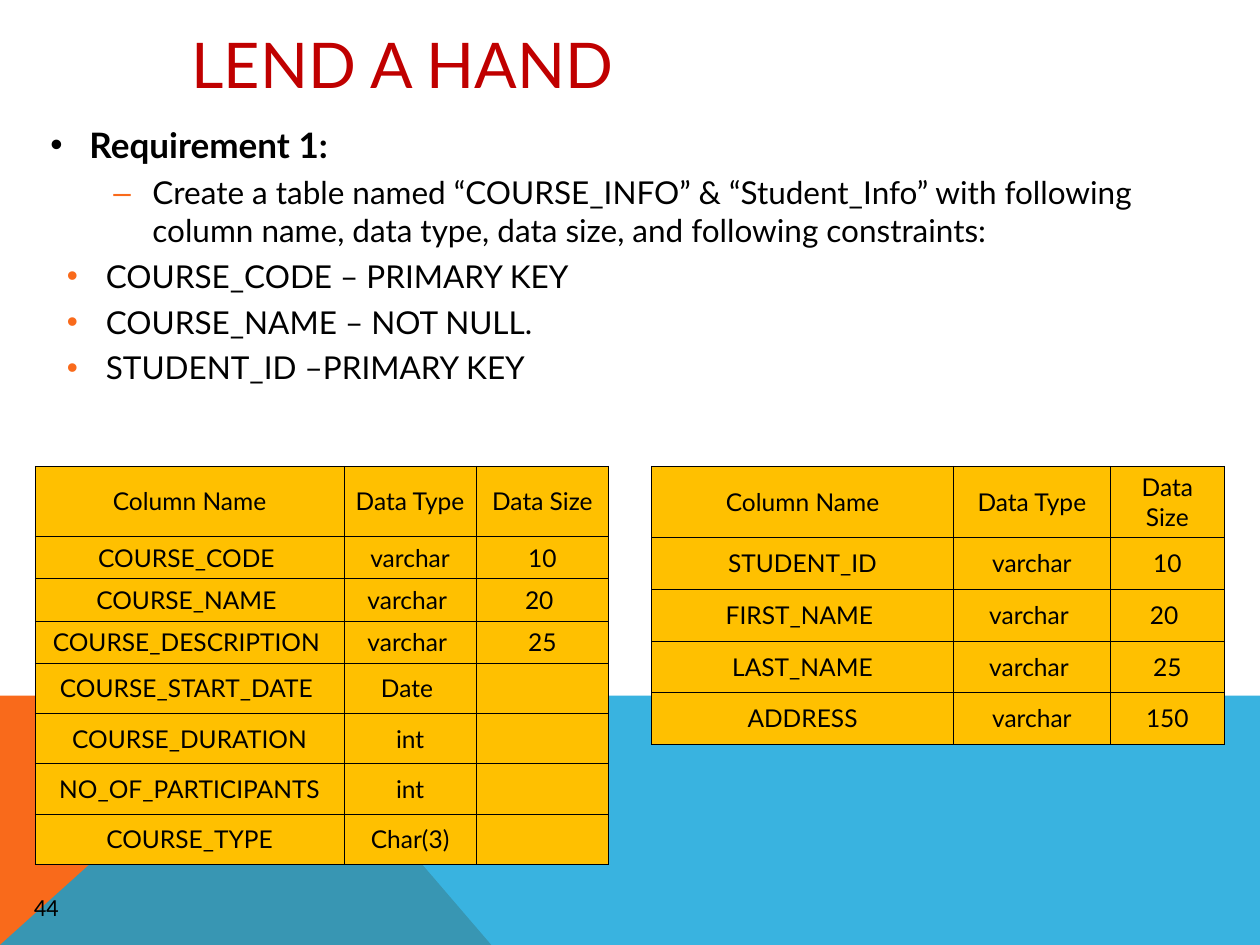
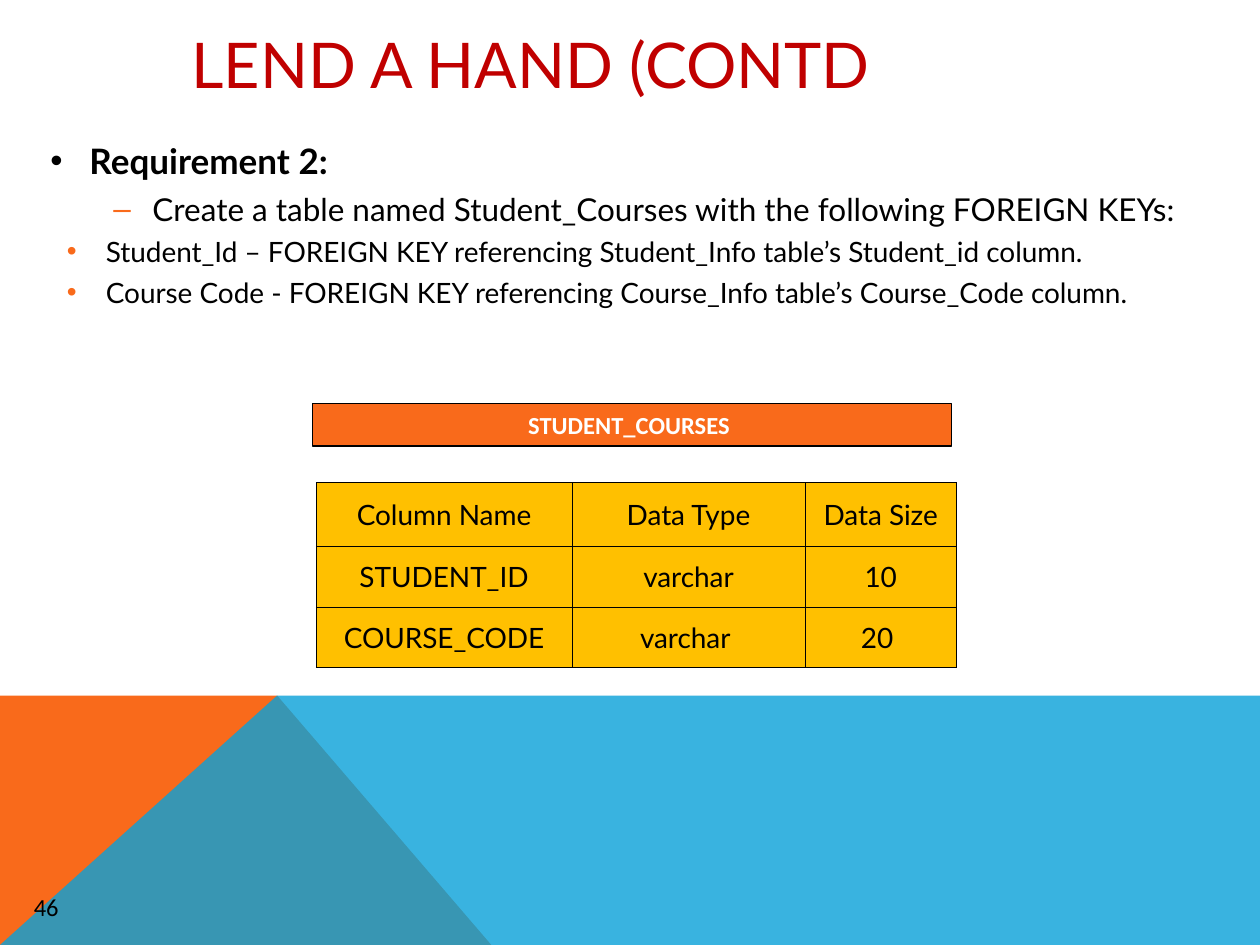
from collections import namedtuple

from lxml import etree
from pptx import Presentation
from pptx.dml.color import RGBColor
from pptx.enum.shapes import MSO_SHAPE
from pptx.enum.text import MSO_ANCHOR, MSO_AUTO_SIZE, PP_ALIGN
from pptx.oxml.ns import qn
from pptx.util import Emu, Inches, Pt

RECTANGLE = MSO_SHAPE.RECTANGLE
MIDDLE = MSO_ANCHOR.MIDDLE
LEFT, CENTER = PP_ALIGN.LEFT, PP_ALIGN.CENTER
NO_FIT = MSO_AUTO_SIZE.NONE

COLUMN = ROW = Inches(0.1)
COLUMNS, ROWS = 100, 75

BLACK, WHITE, RED = "000000", "FFFFFF", "C00000"
ORANGE, BLUE, GOLD = "F96A1B", "08A1D9", "FFC000"
HEADING_FONT, LABEL_FONT = "Lato", "Calibri"

Box = namedtuple("Box", "left top width height")
Level = namedtuple("Level", "depth bullet bullet_colour margin size bold")

BAND = Box(0, 55.2, COLUMNS, 19.8)
TITLE = Box(14.2, 0.8, 83.8, 8.4)
NUMBER = Box(1.7, 70.3, 5, 3)
HANGING = 3.1

HEAD = Level(0, "•", BLACK, 3.1, 20, True)
TASK = Level(1, "–", ORANGE, 8.1, 18, False)
RULE = Level(2, "•", ORANGE, 4.4, 18, False)
SMALL_RULE = RULE._replace(size=16)

TABLE_HEADER = ["Column Name", "Data Type", "Data Size"]
COURSE_ROWS = [
    ["COURSE_CODE ", "varchar", "10"],
    ["COURSE_NAME ", "varchar ", "20 "],
    ["COURSE_DESCRIPTION ", "varchar ", "25"],
    ["COURSE_START_DATE ", "Date ", ""],
    ["COURSE_DURATION", "int", ""],
    ["NO_OF_PARTICIPANTS", "int", ""],
    ["COURSE_TYPE", "Char(3)", ""],
]
STUDENT_ROWS = [
    ["STUDENT_ID", "varchar", "10"],
    ["FIRST_NAME ", "varchar ", "20 "],
    ["LAST_NAME", "varchar ", "25"],
    ["ADDRESS", "varchar", "150"],
]
ENROLMENT_ROWS = [
    ["STUDENT_ID", "varchar", "10"],
    ["COURSE_CODE", "varchar ", "20 "],
]


def colour(code):
    return RGBColor.from_string(code)


def across(columns):
    return Emu(round(columns * COLUMN))


def down(rows):
    return Emu(round(rows * ROW))


def frame(box):
    return across(box.left), down(box.top), across(box.width), down(box.height)


def apply(target, formats):
    for name, value in formats.items():
        setattr(target, name, value)


def write(para, text, size, code=BLACK, font=HEADING_FONT, bold=False):
    span = para.add_run()
    span.text = text
    apply(span.font, {"name": font, "size": Pt(size), "bold": bold})
    span.font.color.rgb = colour(code)


def move(shape, box):
    apply(shape, dict(zip(("left", "top", "width", "height"), frame(box))))


def draw_outline(page, box, shares, code):
    points = [
        (across(box.left + x * box.width), down(box.top + y * box.height))
        for x, y in shares
    ]
    builder = page.shapes.build_freeform(*points[0])
    builder.add_line_segments(points[1:], close=True)
    outline = builder.convert_to_shape()
    outline.shadow.inherit = False
    outline.fill.solid()
    outline.fill.fore_color.rgb = colour(code)
    outline.line.fill.background()
    return outline


def place_band(page, box):
    left = draw_outline(page, box, [(0, 1), (0, 0), (0.22, 0), (0.39, 1)], ORANGE)
    right = draw_outline(page, box, [(0, 1), (0.22, 0), (1, 0), (1, 1)], BLUE)
    tint = right.element.find(".//" + qn("a:srgbClr"))
    etree.SubElement(tint, qn("a:alpha"), val="80000")
    master = page.slide_layout.slide_master.shapes.element
    for position, outline in enumerate((left, right), start=2):
        master.insert(position, outline.element)


def place_title(page, box, text):
    title = page.shapes.title
    move(title, box)
    apply(title.text_frame, {"vertical_anchor": MIDDLE, "auto_size": NO_FIT})
    para = title.text_frame.paragraphs[0]
    para.alignment = LEFT
    write(para, text, 36, RED)


def set_bullet(para, level):
    properties = para._p.get_or_add_pPr()
    properties.set("marL", str(across(level.margin)))
    properties.set("indent", str(across(-HANGING)))
    tint = etree.SubElement(properties, qn("a:buClr"))
    etree.SubElement(tint, qn("a:srgbClr"), val=level.bullet_colour)
    etree.SubElement(properties, qn("a:buFont"), typeface="Arial")
    etree.SubElement(properties, qn("a:buChar"), char=level.bullet)


def place_requirements(page, box, lines):
    body = page.placeholders[1]
    move(body, box)
    text_frame = body.text_frame
    text_frame.auto_size = NO_FIT
    for index, (level, text) in enumerate(lines):
        para = text_frame.add_paragraph() if index else text_frame.paragraphs[0]
        apply(para, {"level": level.depth, "space_before": Pt(level.size / 4)})
        set_bullet(para, level)
        write(para, text, level.size, bold=level.bold)


def set_borders(cell):
    properties = cell._tc.get_or_add_tcPr()
    for position, side in enumerate(("a:lnL", "a:lnR", "a:lnT", "a:lnB")):
        edge = etree.Element(qn(side), w=str(Pt(0.45)))
        fill = etree.SubElement(edge, qn("a:solidFill"))
        etree.SubElement(fill, qn("a:srgbClr"), val=BLACK)
        properties.insert(position, edge)


def fill_cell(cell, text, size):
    side, edge = across(0.9), down(0.5)
    apply(cell, {
        "vertical_anchor": MIDDLE,
        "margin_left": side, "margin_right": side,
        "margin_top": edge, "margin_bottom": edge,
    })
    cell.fill.solid()
    cell.fill.fore_color.rgb = colour(GOLD)
    set_borders(cell)
    para = cell.text_frame.paragraphs[0]
    para.alignment = CENTER
    if text:
        write(para, text, size)


def place_table(page, box, widths, header_height, records, size):
    rows = [TABLE_HEADER] + records
    table = page.shapes.add_table(len(rows), len(widths), *frame(box)).table
    apply(table, {"first_row": False, "horz_banding": False})
    for column, width in zip(table.columns, widths):
        column.width = across(box.width * width / sum(widths))
    record_height = (box.height - header_height) / len(records)
    for index, (row, texts) in enumerate(zip(table.rows, rows)):
        row.height = down(record_height if index else header_height)
        for cell, text in zip(row.cells, texts):
            fill_cell(cell, text, size)


def place_table_name(page, box, text):
    label = page.shapes.add_shape(RECTANGLE, *frame(box))
    label.shadow.inherit = False
    label.fill.solid()
    label.fill.fore_color.rgb = colour(ORANGE)
    label.line.color.rgb = colour(BLACK)
    label.line.width = Pt(0.75)
    para = label.text_frame.paragraphs[0]
    para.alignment = CENTER
    write(para, text, 14, WHITE, LABEL_FONT, True)


def place_number(page, box, number):
    label = page.shapes.add_textbox(*frame(box))
    label.text_frame.word_wrap = True
    write(label.text_frame.paragraphs[0], str(number), 14, font=LABEL_FONT)


def add_exercise(deck, title, number, body_top, lines):
    page = deck.slides.add_slide(deck.slide_layouts[1])
    place_title(page, TITLE, title)
    place_requirements(page, Box(3, body_top, 95, 52.3), lines)
    place_number(page, NUMBER, number)
    return page


def add_first_requirement(deck):
    page = add_exercise(deck, "LEND A HAND", 44, 9.3, [
        (HEAD, "Requirement 1:"),
        (TASK, "Create a table named “COURSE_INFO” & “Student_Info” with following "
               "column name, data type, data size, and following constraints:"),
        (RULE, "COURSE_CODE – PRIMARY KEY"),
        (RULE, "COURSE_NAME – NOT NULL."),
        (RULE, "STUDENT_ID –PRIMARY KEY"),
    ])
    place_band(page, BAND)
    place_table(page, Box(2.8, 37, 45.5, 28.9), [24.5, 10.5, 10.5], 5.6, COURSE_ROWS, 14)
    place_table(page, Box(51.7, 37, 45.5, 22), [24, 12.4, 9.1], 5.6, STUDENT_ROWS, 14)


def add_second_requirement(deck):
    page = add_exercise(deck, "LEND A HAND (CONTD", 46, 10.6, [
        (HEAD, "Requirement 2:"),
        (TASK, "Create a table named Student_Courses with the following FOREIGN KEYs:"),
        (SMALL_RULE, "Student_Id – FOREIGN KEY referencing Student_Info table’s "
                     "Student_id column."),
        (SMALL_RULE, "Course Code - FOREIGN KEY referencing Course_Info table’s "
                     "Course_Code column."),
    ])
    place_table(page, Box(25.1, 38.3, 50.8, 14.7), [20.3, 18.5, 12], 5.1, ENROLMENT_ROWS, 16)
    place_table_name(page, Box(24.8, 32, 50.7, 3.4), "STUDENT_COURSES ")


def main():
    deck = Presentation()
    deck.slide_width = across(COLUMNS)
    deck.slide_height = down(ROWS)
    add_first_requirement(deck)
    add_second_requirement(deck)
    deck.save("out.pptx")


if __name__ == "__main__":
    main()
